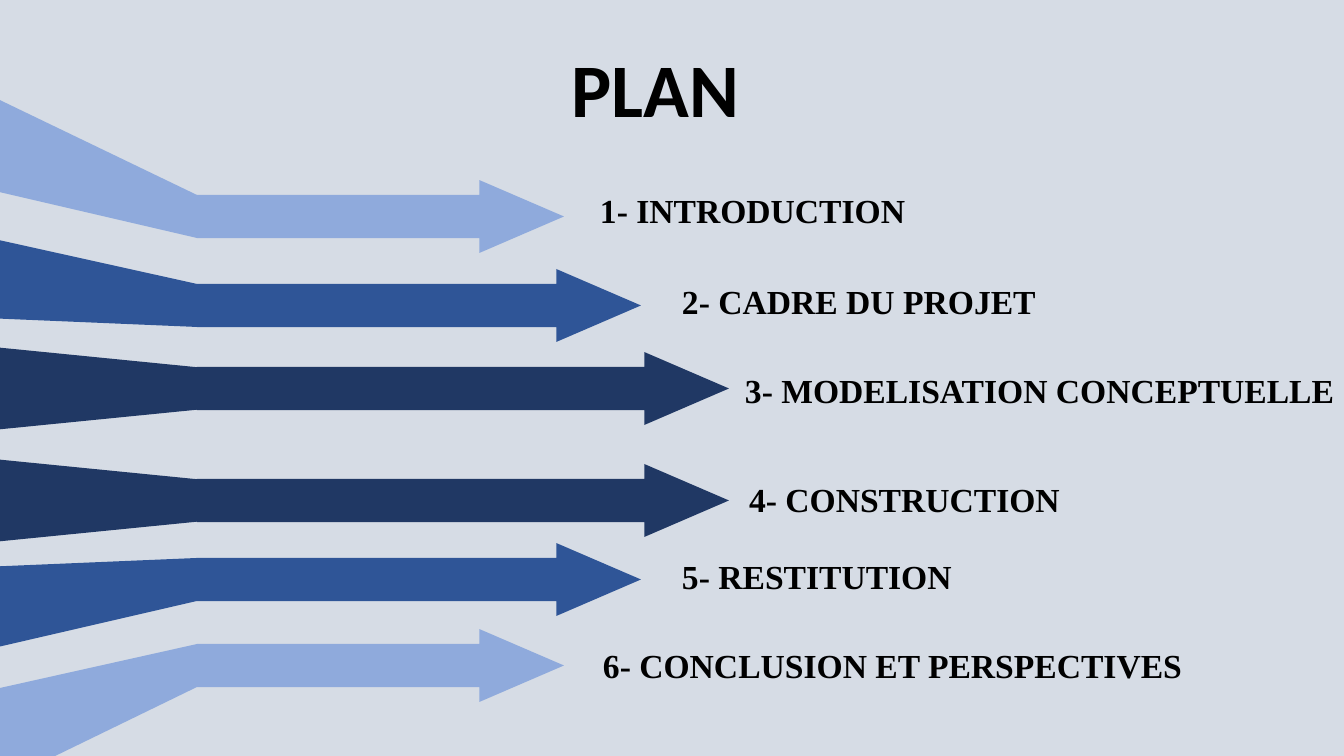
from pptx import Presentation
from pptx.dml.color import RGBColor
from pptx.enum.shapes import MSO_SHAPE
from pptx.enum.text import MSO_ANCHOR, MSO_AUTO_SIZE, PP_ALIGN
from pptx.util import Pt

ARROW = MSO_SHAPE.RIGHT_ARROW
TRAPEZOID = MSO_SHAPE.TRAPEZOID
MIDDLE = MSO_ANCHOR.MIDDLE
NO_AUTOFIT = MSO_AUTO_SIZE.NONE
CENTER = PP_ALIGN.CENTER
LEFT = PP_ALIGN.LEFT

SCALE = 914400 / 100.8
SLIDE_WIDTH, SLIDE_HEIGHT = 1344, 756
ARROW_LEFT, ARROW_HEIGHT = 197, 73
SHAFT_INSET, SHAFT_HEIGHT = 15, 43
COLORS = {
    "background": "D6DCE5",
    "light": "8FAADC",
    "medium": "2F5597",
    "dark": "203864",
    "text": "000000",
}
ARROW_WIDTHS = {"light": 367, "medium": 444, "dark": 532}
TITLE_FONT = {"name": "Calibri", "size": Pt(54), "bold": True}
ITEM_FONT = {"name": "Times New Roman", "size": Pt(24), "bold": True}

ITEMS = [
    ("1- INTRODUCTION", "light", 180, 600, 185, [(-21, 90), (-18, 188)]),
    ("2- CADRE DU PROJET", "medium", 269, 682, 276, [(-15, 237), (-16, 318)]),
    ("3- MODELISATION CONCEPTUELLE", "dark", 352, 745, 365, None),
    ("4- CONSTRUCTION", "dark", 464, 749, 474, None),
    ("5- RESTITUTION", "medium", 543, 682, 551, [(-16, 567), (-15, 650)]),
    ("6- CONCLUSION ET PERSPECTIVES", "light", 629, 603, 640, [(-18, 692), (-21, 793)]),
]
TAIL_LENGTH, TAIL_HEIGHT = 214, 85


def box(*lengths):
    return [round(length * SCALE) for length in lengths]


def write(frame, text, alignment, font_format):
    frame.word_wrap = True
    frame.auto_size = NO_AUTOFIT
    frame.margin_left = frame.margin_right = 0
    paragraph = frame.paragraphs[0]
    paragraph.text = text
    paragraph.alignment = alignment
    paragraph.line_spacing = 1.0
    for name, value in font_format.items():
        setattr(paragraph.font, name, value)
    paragraph.font.color.rgb = RGBColor.from_string(COLORS["text"])


presentation = Presentation()
presentation.slide_width, presentation.slide_height = box(SLIDE_WIDTH, SLIDE_HEIGHT)
slide = presentation.slides.add_slide(presentation.slide_layouts[5])
slide.background.fill.solid()
slide.background.fill.fore_color.rgb = RGBColor.from_string(COLORS["background"])

title = slide.shapes.title
title.left, title.top, title.width, title.height = box(62, 36, 1187, 102)
write(title.text_frame, "PLAN", CENTER, TITLE_FONT)
title.text_frame.vertical_anchor = MIDDLE

for text, color, arrow_top, text_left, text_top, tail_start in ITEMS:
    arrow = slide.shapes.add_shape(
        ARROW, *box(ARROW_LEFT, arrow_top, ARROW_WIDTHS[color], ARROW_HEIGHT)
    )
    arrow.adjustments[0] = 0.59
    arrow.adjustments[1] = 1.16

    shaft_top = arrow_top + SHAFT_INSET
    shaft_bottom = shaft_top + SHAFT_HEIGHT
    if tail_start:
        upper, lower = tail_start
        builder = slide.shapes.build_freeform(*upper, scale=SCALE)
        builder.add_line_segments(
            [(ARROW_LEFT, shaft_top), (ARROW_LEFT, shaft_bottom), lower]
        )
        tail = builder.convert_to_shape()
    else:
        center_x = ARROW_LEFT - TAIL_LENGTH / 2
        center_y = (shaft_top + shaft_bottom) / 2
        tail = slide.shapes.add_shape(
            TRAPEZOID,
            *box(center_x - TAIL_HEIGHT / 2, center_y - TAIL_LENGTH / 2, TAIL_HEIGHT, TAIL_LENGTH),
        )
        tail.rotation = 90
        tail.adjustments[0] = 0.25

    for shape in (arrow, tail):
        shape.shadow.inherit = False
        shape.fill.solid()
        shape.fill.fore_color.rgb = RGBColor.from_string(COLORS[color])
        shape.line.fill.background()

    label = slide.shapes.add_textbox(*box(text_left, text_top, SLIDE_WIDTH - text_left, 50))
    write(label.text_frame, text, LEFT, ITEM_FONT)

presentation.save("out.pptx")
